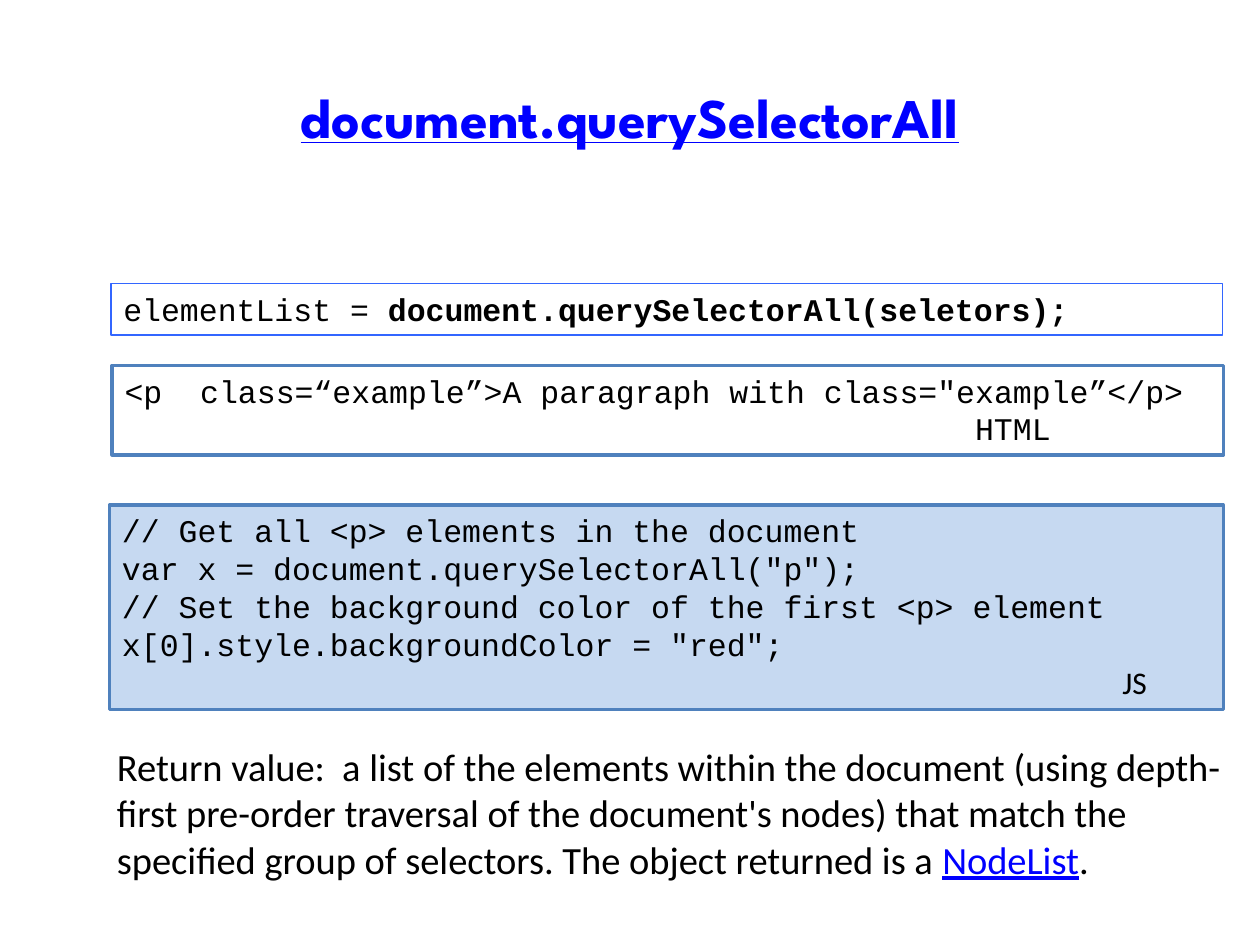
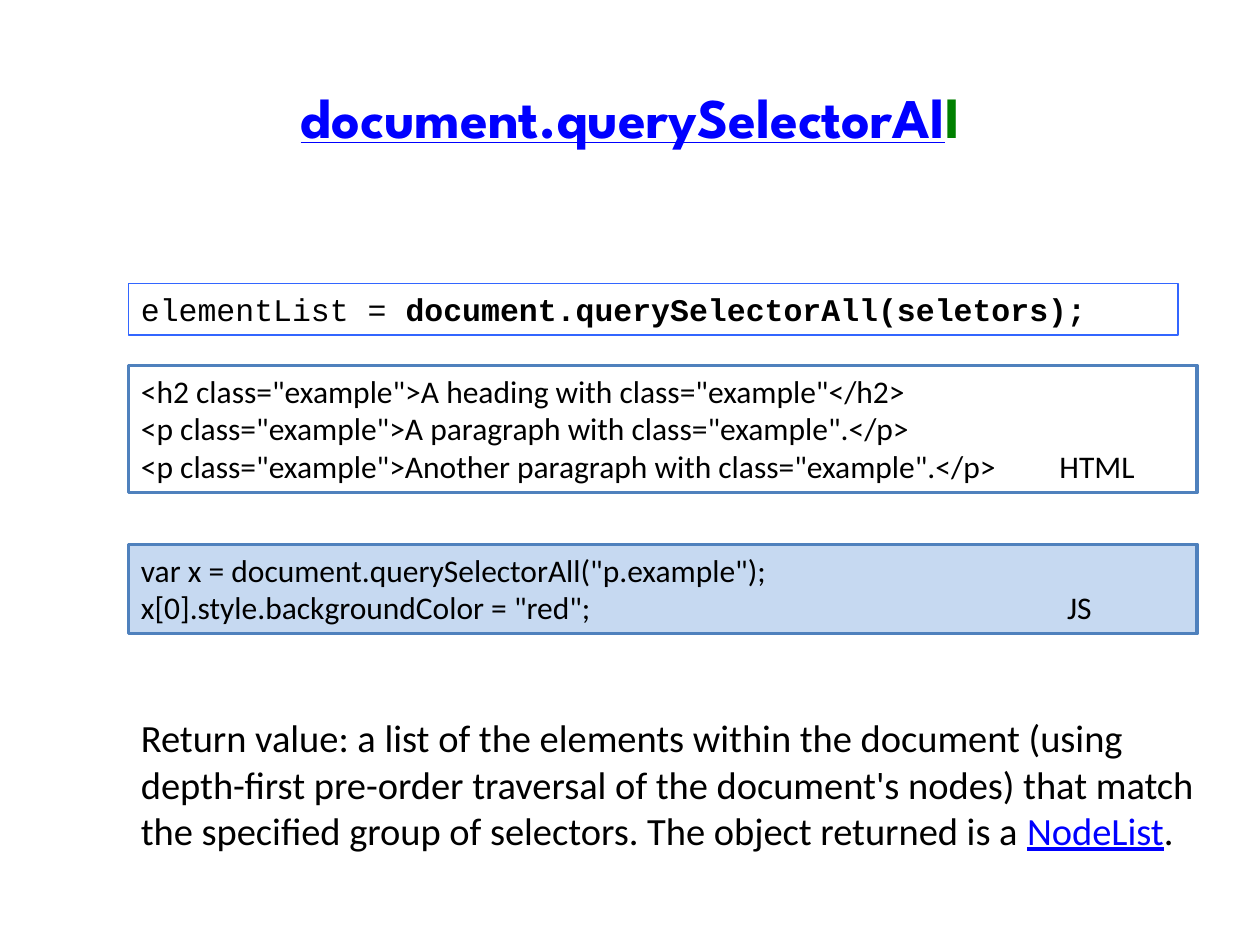
"""Two slides on document.querySelectorAll with code boxes and its return value."""
from pptx import Presentation
from pptx.dml.color import RGBColor as RGB
from pptx.enum.shapes import MSO_SHAPE as SHAPE
from pptx.enum.text import MSO_ANCHOR as ANCHOR, PP_ALIGN as ALIGN
from pptx.oxml import parse_xml as to_xml
from pptx.oxml.ns import nsdecls
from pptx.util import Inches, Pt

HUES = {"ink": "000000", "link": "0000FF", "green": "008000", "thin": "3366FF",
        "edge": "4F81BD", "white": "FFFFFF", "pale": "C6D9F1"}
SANS, MONO, HEAD = "Calibri", "Courier New", "League Spartan"
LINK = {"hue": "link", "line": True}
BOLD = {"bold": True}

deck = Presentation()
deck.slide_width, deck.slide_height = Inches(10), Inches(7.5)
COL, ROW = deck.slide_width / 100, deck.slide_height / 75


def place(shapes, kind, left, top, width, height):
    """Add a text box or rectangle at grid columns and rows."""
    area = [round(n) for n in (left * COL, top * ROW, width * COL, height * ROW)]
    if kind == "text":
        item = shapes.add_textbox(*area)
    else:
        item = shapes.add_shape(SHAPE.RECTANGLE, *area)
        item.shadow.inherit = False
    item.text_frame.word_wrap = True
    item.text_frame.vertical_anchor = ANCHOR.TOP
    return item


def write(frame, lines, size, face, align=ALIGN.LEFT, tab=None):
    """Write lines, each a string or a list of (text, style) runs."""
    for i, line in enumerate(lines):
        para = frame.add_paragraph() if i else frame.paragraphs[0]
        para.alignment = align
        para.font.size, para.font.name = Pt(size), face
        para.font.color.rgb = RGB.from_string(HUES["ink"])
        if tab:
            stop = f'<a:tabLst {nsdecls("a")}><a:tab pos="{round(tab * COL)}" algn="l"/></a:tabLst>'
            para.font._element.addprevious(to_xml(stop))
        for text, style in [(line, {})] if isinstance(line, str) else line:
            run = para.add_run()
            run.text = text
            if "hue" in style:
                run.font.color.rgb = RGB.from_string(HUES[style["hue"]])
            if "line" in style:
                run.font.underline = style["line"]
            if "bold" in style:
                run.font.bold = style["bold"]
            if "face" in style:
                run.font.name = style["face"]


CALL = [[("elementList = ", {}), ("document.querySelectorAll(seletors);", BOLD)]]
NOTE = ("a list of the elements within the document (using depth-first pre-order "
        "traversal of the document's nodes) that match the specified group of "
        "selectors. The object returned is a ")

pages = [
    {
        "title": [("document.querySelectorAll", {**LINK, **BOLD})],
        "lead": "Return value:  ",
        "note": (8.3, 58.5, 89.8, 12.1),
        "call": (8.8, 22.5, 88.2, 4.1),
        "face": MONO,
        "html": (8.9, 29, 88.2, 7.1),
        "tags": ["<p  class=“example”>A paragraph with class=\"example”</p>", "\tHTML"],
        "js": (8.7, 40.1, 88.4, 16.2),
        "code": ["// Get all <p> elements in the document",
                 "var x = document.querySelectorAll(\"p\");",
                 "// Set the background color of the first <p> element",
                 "x[0].style.backgroundColor = \"red\";",
                 [("\tJS", {"face": SANS})]],
        "tabs": (67.5, 79.4),
    },
    {
        "title": [("document.querySelectorAl", {**LINK, **BOLD}),
                  ("l", {"hue": "green", **BOLD})],
        "lead": "Return value: ",
        "note": (10.2, 56.2, 86.7, 12.1),
        "call": (10.2, 22.5, 83.3, 4.1),
        "face": SANS,
        "html": (10.2, 29, 84.8, 10.1),
        "tags": ["<h2 class=\"example\">A heading with class=\"example\"</h2>",
                 "<p class=\"example\">A paragraph with class=\"example\".</p>",
                 "<p class=\"example\">Another paragraph with class=\"example\".</p>\tHTML"],
        "js": (10.2, 43.2, 84.8, 7.1),
        "code": ["var x = document.querySelectorAll(\"p.example\");",
                 "x[0].style.backgroundColor = \"red\";\tJS"],
        "tabs": (72.9, 73.5),
    },
]

for page in pages:
    shapes = deck.slides.add_slide(deck.slide_layouts[6]).shapes

    title = place(shapes, "text", 5, 3, 90, 12.5).text_frame
    title.vertical_anchor = ANCHOR.MIDDLE
    write(title, [page["title"]], 32, HEAD, ALIGN.CENTER)

    note = place(shapes, "text", *page["note"]).text_frame
    write(note, [[(page["lead"] + NOTE, {}), ("NodeList", LINK), (".", {})]], 22, SANS)

    boxes = [("call", CALL, MONO, None, "thin", 0.75, None),
             ("html", page["tags"], page["face"], "white", "edge", 2, page["tabs"][0]),
             ("js", page["code"], page["face"], "pale", "edge", 2, page["tabs"][1])]
    for key, lines, face, fill, edge, width, tab in boxes:
        box = place(shapes, "box", *page[key])
        if fill:
            box.fill.solid()
            box.fill.fore_color.rgb = RGB.from_string(HUES[fill])
        else:
            box.fill.background()
        box.line.color.rgb = RGB.from_string(HUES[edge])
        box.line.width = Pt(width)
        write(box.text_frame, lines, 18, face, tab=tab)

deck.save("out.pptx")
